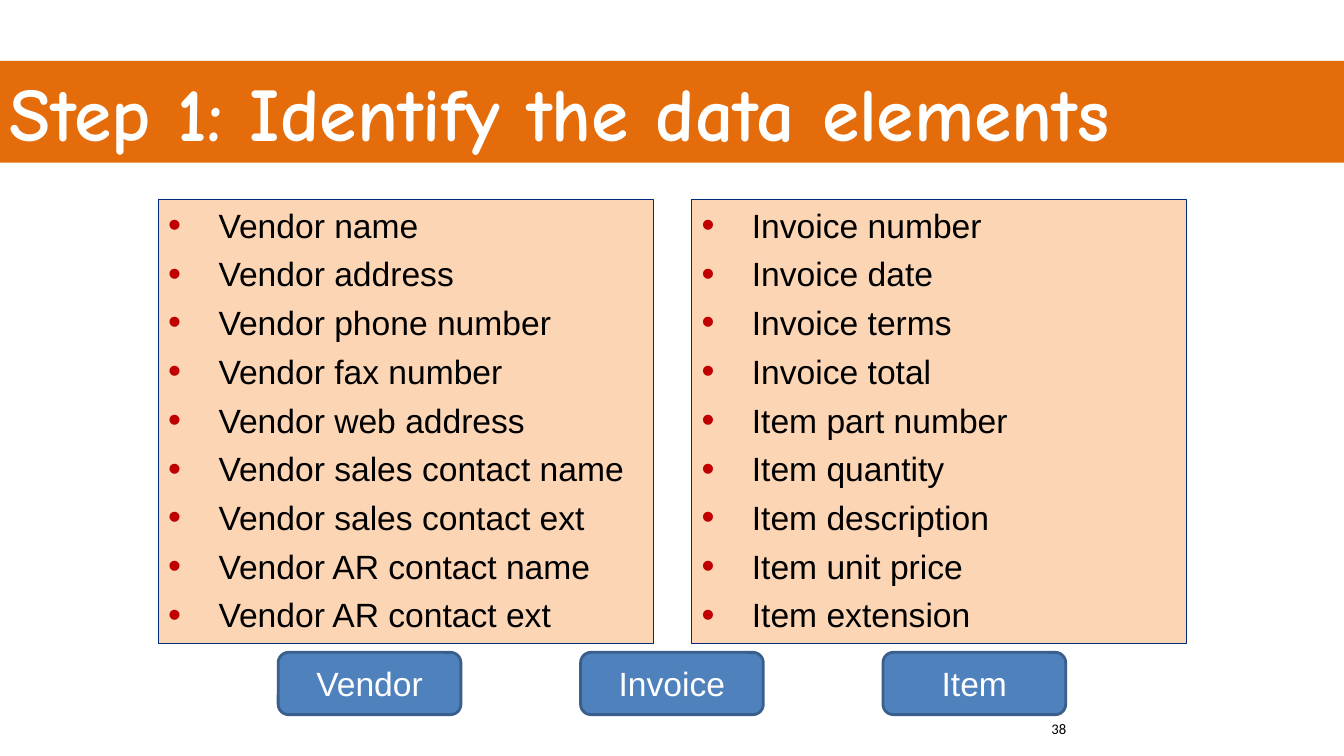
from lxml import etree
from pptx import Presentation
from pptx.dml import color
from pptx.enum import shapes, text
from pptx.oxml import ns
from pptx.util import Pt

ORANGE, PEACH, NAVY, RED = "E46C0A", "FCD5B5", "002A7E", "C00000"
BLUE, DARK_BLUE, WHITE, BLACK = "4F81BD", "3A5F8C", "FFFFFF", "000000"

VENDOR_ELEMENTS = [
    "Vendor name", "Vendor address", "Vendor phone number",
    "Vendor fax number", "Vendor web address", "Vendor sales contact name",
    "Vendor sales contact ext", "Vendor AR contact name", "Vendor AR contact ext",
]
INVOICE_ELEMENTS = [
    "Invoice number", "Invoice date", "Invoice terms", "Invoice total",
    "Item part number", "Item quantity", "Item description",
    "Item unit price", "Item extension",
]
ENTITIES = ["Vendor", "Invoice", "Item"]


def rgb(value):
    return color.RGBColor.from_string(value)


def add_panel(slide, kind, box, fill, line=None, line_width=0):
    panel = slide.shapes.add_shape(kind, *map(Pt, box))
    panel.shadow.inherit = False
    panel.fill.solid()
    panel.fill.fore_color.rgb = rgb(fill)
    if line:
        panel.line.color.rgb = rgb(line)
        panel.line.width = Pt(line_width)
    else:
        panel.line.fill.background()
    return panel


def write(shape, words, size, font, ink, align=text.PP_ALIGN.LEFT,
          anchor=text.MSO_ANCHOR.TOP, bold=False):
    frame = shape.text_frame
    frame.text = words
    frame.word_wrap = True
    frame.vertical_anchor = anchor
    for paragraph in frame.paragraphs:
        paragraph.alignment = align
        for run in paragraph.runs:
            run.font.size = Pt(size)
            run.font.name = font
            run.font.bold = bold
            run.font.color.rgb = rgb(ink)


def add_bullet(paragraph):
    properties = paragraph._p.get_or_add_pPr()
    properties.set("marL", str(Pt(36)))
    properties.set("indent", str(Pt(-36)))
    bullet_color = etree.SubElement(properties, ns.qn("a:buClr"))
    etree.SubElement(bullet_color, ns.qn("a:srgbClr"), val=RED)
    etree.SubElement(properties, ns.qn("a:buSzPct"), val="110000")
    etree.SubElement(properties, ns.qn("a:buFont"), typeface="Arial")
    etree.SubElement(properties, ns.qn("a:buChar"), char="•")
    paragraph.space_after = Pt(6)


def add_element_list(slide, left, elements):
    panel = add_panel(slide, shapes.MSO_SHAPE.RECTANGLE,
                      (left, 142.5, 353.5, 317.5), PEACH, NAVY, 0.75)
    write(panel, "\n".join(elements), 24, "Arial", BLACK)
    for paragraph in panel.text_frame.paragraphs:
        add_bullet(paragraph)


def add_entity(slide, left, name):
    entity = add_panel(slide, shapes.MSO_SHAPE.ROUNDED_RECTANGLE,
                       (left, 466, 130.5, 44.5), BLUE, DARK_BLUE, 2)
    write(entity, name, 24, "Arial", WHITE,
          text.PP_ALIGN.CENTER, text.MSO_ANCHOR.MIDDLE)


def add_title(slide, words):
    add_panel(slide, shapes.MSO_SHAPE.RECTANGLE, (-1.5, 49, 960, 59), ORANGE)
    title = add_panel(slide, shapes.MSO_SHAPE.RECTANGLE,
                      (0, 43.4, 962, 72.7), ORANGE)
    write(title, words, 54, "Comic Neue", WHITE, bold=True)


def add_page_number(slide, number):
    page = slide.shapes.add_textbox(Pt(744), Pt(510.5), Pt(216), Pt(29))
    write(page, number, 10.5, "Calibri", BLACK)


def main():
    deck = Presentation()
    deck.slide_width, deck.slide_height = Pt(960), Pt(540)
    slide = deck.slides.add_slide(deck.slide_layouts[6])
    add_title(slide, "Step 1: Identify the data elements")
    add_page_number(slide, "38")
    for column, elements in enumerate([VENDOR_ELEMENTS, INVOICE_ELEMENTS]):
        add_element_list(slide, 113 + column * 381, elements)
    for column, name in enumerate(ENTITIES):
        add_entity(slide, 198.75 + column * 216, name)
    deck.save("out.pptx")


if __name__ == "__main__":
    main()
